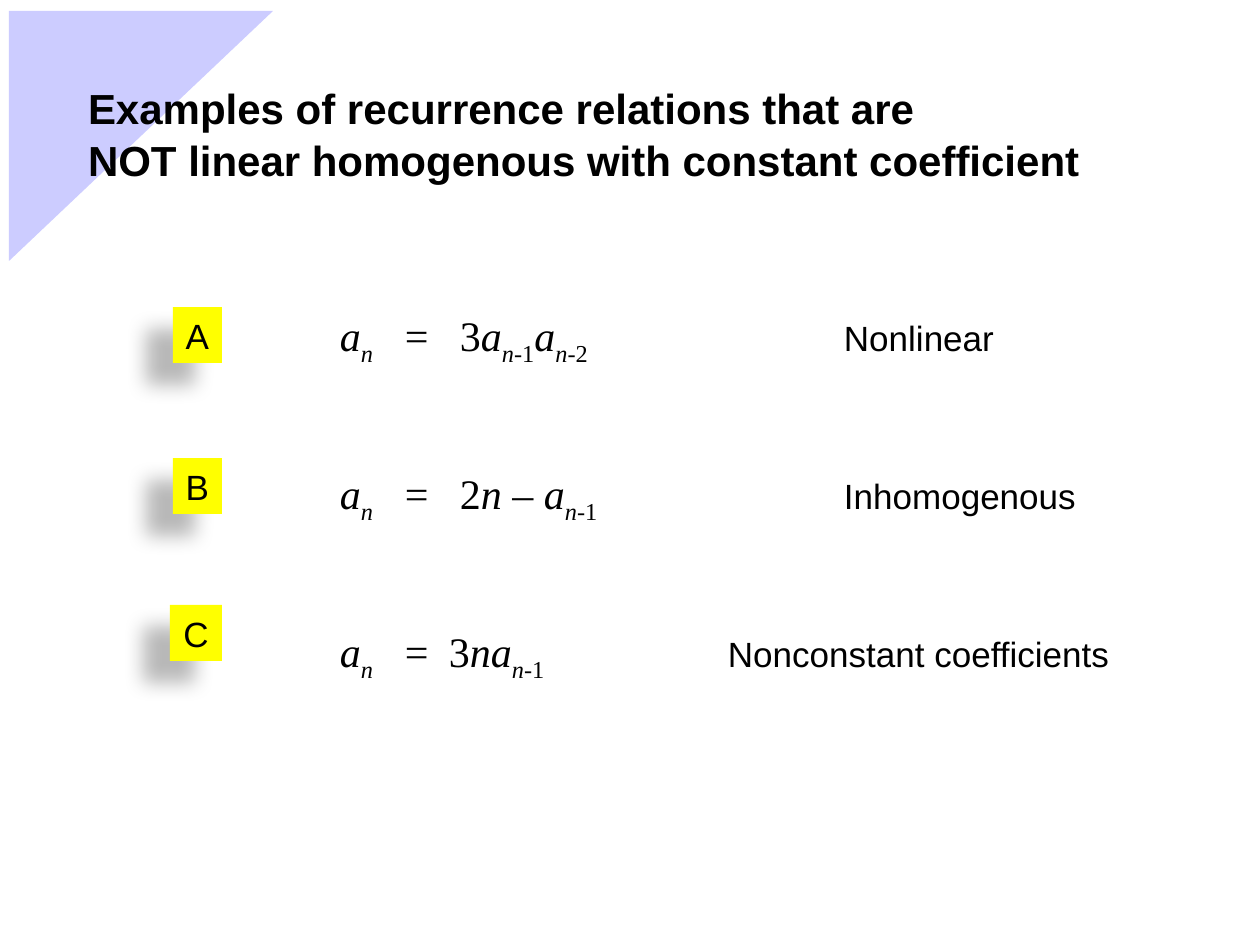
from lxml.etree import SubElement
from pptx import Presentation
from pptx.dml.color import RGBColor
from pptx.enum.shapes import MSO_SHAPE
from pptx.enum.text import MSO_ANCHOR, PP_ALIGN
from pptx.oxml.ns import qn
from pptx.util import Emu, Pt

PX = 914400 // 126

THEME = {
    "ink": RGBColor(0, 0, 0),
    "corner": RGBColor(0xCC, 0xCC, 0xFF),
    "badge": RGBColor(0xFF, 0xFF, 0),
    "sans": "Arial",
    "serif": "Times New Roman",
    "large": 24,
    "small": 20,
}

HEADING = [
    "Examples of recurrence relations that are",
    "NOT linear homogenous with constant coefficient",
]

VAR, SUB, NUM, SUBNUM = "variable", "index", "number", "index number"
LEFT_SIDE = [("a", VAR), ("n", SUB), ("\t=\t", NUM)]
EXAMPLES = [
    {"letter": "A", "badge": (173, 307, 49, 56), "stops": (65, 120, 504), "reason": "Nonlinear",
     "right_side": [("3", NUM), ("a", VAR), ("n", SUB), ("-1", SUBNUM),
                    ("a", VAR), ("n", SUB), ("-2", SUBNUM)]},
    {"letter": "B", "badge": (173, 458, 49, 56), "stops": (65, 120, 504), "reason": "Inhomogenous",
     "right_side": [("2", NUM), ("n", VAR), (" – ", NUM), ("a", VAR), ("n", SUB), ("-1", SUBNUM)]},
    {"letter": "C", "badge": (170, 605, 52, 56), "stops": (65, 109, 388),
     "reason": "Nonconstant coefficients",
     "right_side": [("3", NUM), ("na", VAR), ("n", SUB), ("-1", SUBNUM)]},
]
FIRST_ROW, ROW_PITCH = 310, 158


def px(*lengths):
    return [Emu(length * PX) for length in lengths]


def write(paragraph, text, font="sans", size="large", bold=False, italic=False, baseline=0):
    run = paragraph.add_run()
    run.text = text
    run.font.name = THEME[font]
    run.font.size = Pt(THEME[size])
    run.font.bold = bold
    run.font.italic = italic
    run.font.color.rgb = THEME["ink"]
    if baseline:
        run.font._element.set("baseline", str(baseline * 1000))


def clear_margins(frame):
    frame.margin_left = frame.margin_right = frame.margin_top = frame.margin_bottom = 0
    frame.vertical_anchor = MSO_ANCHOR.TOP
    frame.word_wrap = True


def add_filled(kind, box, colour):
    shape = slide.shapes.add_shape(kind, *px(*box))
    shape.shadow.inherit = False
    shape.fill.solid()
    shape.fill.fore_color.rgb = THEME[colour]
    shape.line.fill.background()
    return shape


def cast_shadow(shape):
    effects = shape._element.spPr.find(qn("a:effectLst"))
    shadow = SubElement(effects, qn("a:outerShdw"), blurRad=str(Pt(11.8)), dist=str(Pt(19.7)),
                        dir=str(141 * 60000), algn="ctr", rotWithShape="0")
    colour = SubElement(shadow, qn("a:srgbClr"), val=str(THEME["ink"]))
    SubElement(colour, qn("a:alpha"), val="28000")


def set_tab_stops(paragraph, stops):
    tabs = SubElement(paragraph._p.get_or_add_pPr(), qn("a:tabLst"))
    for stop in stops:
        SubElement(tabs, qn("a:tab"), pos=str(stop * PX), algn="l")


def add_badge(letter, box):
    badge = add_filled(MSO_SHAPE.RECTANGLE, box, "badge")
    cast_shadow(badge)
    badge.text_frame.word_wrap = False
    badge.text_frame.vertical_anchor = MSO_ANCHOR.MIDDLE
    paragraph = badge.text_frame.paragraphs[0]
    paragraph.alignment = PP_ALIGN.CENTER
    write(paragraph, letter, size="small")


def add_relation(example, top):
    frame = slide.shapes.add_textbox(*px(340, top, 860, 60)).text_frame
    clear_margins(frame)
    relation = frame.paragraphs[0]
    set_tab_stops(relation, example["stops"])
    for text, role in LEFT_SIDE + example["right_side"] + [("\t", NUM)]:
        write(relation, text, font="serif", italic=role in (VAR, SUB),
              baseline=-25 if role in (SUB, SUBNUM) else 0)
    write(relation, example["reason"], size="small")


deck = Presentation()
deck.slide_width, deck.slide_height = px(1260, 945)
slide = deck.slides.add_slide(deck.slide_layouts[5])

corner = add_filled(MSO_SHAPE.RIGHT_TRIANGLE, (16, 4, 250, 264), "corner")
corner.rotation = 90
slide.shapes._spTree.insert(2, corner._element)

title = slide.shapes.title
title.left, title.top, title.width, title.height = px(88, 82, 1120, 104)
clear_margins(title.text_frame)
for number, line in enumerate(HEADING):
    heading = title.text_frame.add_paragraph() if number else title.text_frame.paragraphs[0]
    heading.alignment = PP_ALIGN.LEFT
    heading.space_before = Pt(number)
    write(heading, line, bold=True)

for row, example in enumerate(EXAMPLES):
    add_relation(example, FIRST_ROW + row * ROW_PITCH)
    add_badge(example["letter"], example["badge"])

deck.save("out.pptx")
